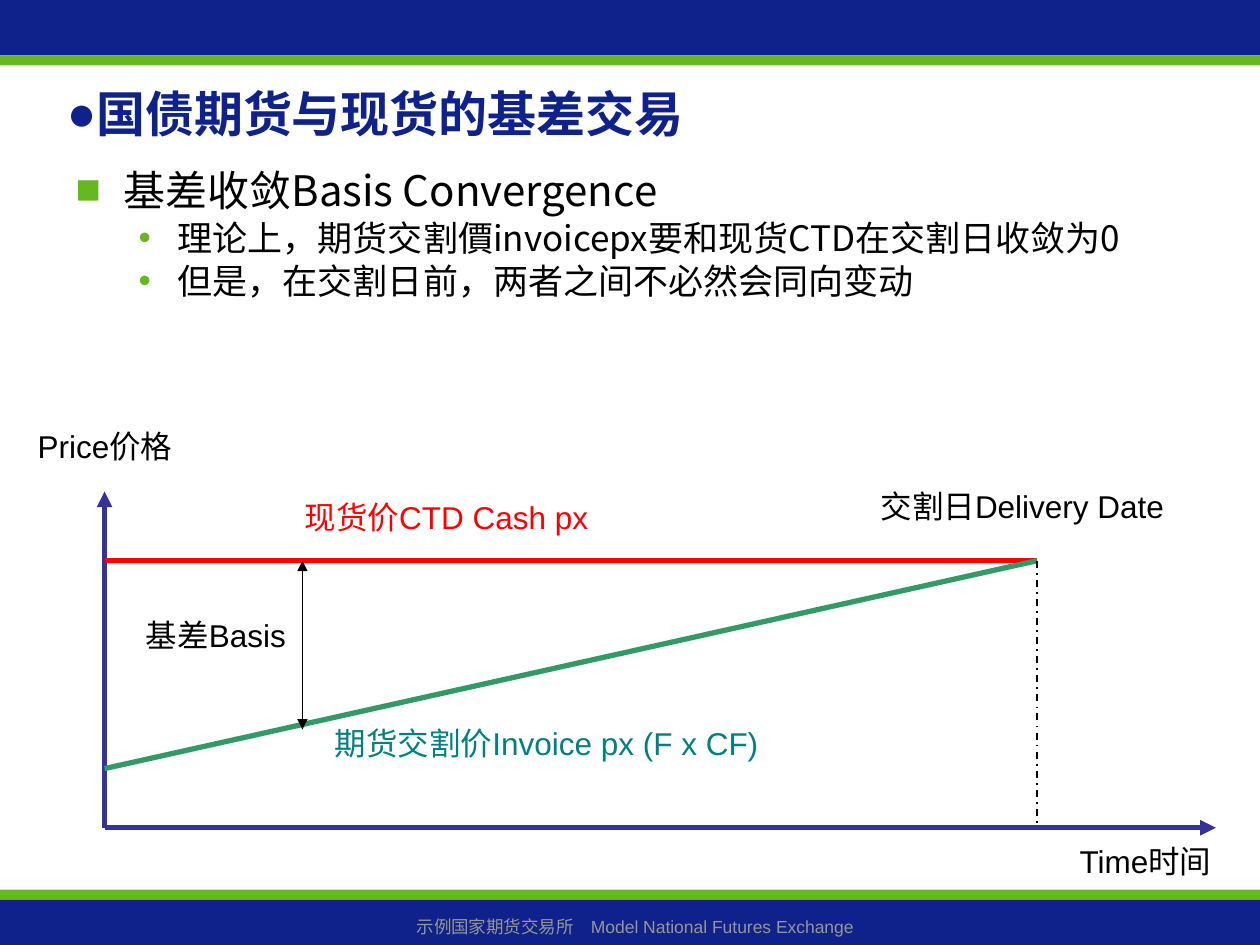
from lxml.etree import SubElement
from pptx import Presentation
from pptx.dml.color import RGBColor
from pptx.enum.dml import MSO_LINE
from pptx.enum.shapes import MSO_CONNECTOR, MSO_SHAPE
from pptx.enum.text import MSO_ANCHOR, MSO_AUTO_SIZE, PP_ALIGN
from pptx.oxml.ns import qn
from pptx.util import Inches, Pt

NAVY = RGBColor(0x0F, 0x21, 0x8B)
GREEN = RGBColor(0x66, 0xB8, 0x21)
GRAY = RGBColor(0x96, 0x96, 0x96)
BLACK = RGBColor(0, 0, 0)
RED = RGBColor(0xFF, 0, 0)
INDIGO = RGBColor(0x33, 0x33, 0x99)
SEA_GREEN = RGBColor(0x33, 0x99, 0x66)
TEAL = RGBColor(0, 0x80, 0x80)
SANS = "Arial"
CJK = "Noto Sans CJK TC"


def place(shape, box):
    shape.left, shape.top, shape.width, shape.height = map(Inches, box)


def style_runs(paragraph, size, color, name=SANS, bold=False):
    for run in paragraph.runs:
        font = run.font
        font.size, font.bold, font.name = Pt(size), bold, name
        font.color.rgb = color
        SubElement(font._element, qn("a:ea")).set("typeface", CJK)


def set_bullet(paragraph, char, color, margin=0, indent=0):
    props = paragraph._p.get_or_add_pPr()
    props.set("marL", str(Inches(margin)))
    props.set("indent", str(Inches(indent)))
    bullet_color = SubElement(props, qn("a:buClr"))
    SubElement(bullet_color, qn("a:srgbClr")).set("val", str(color))
    SubElement(props, qn("a:buFont")).set("typeface", SANS)
    SubElement(props, qn("a:buChar")).set("char", char)


def add_label(shapes, text, box, color=BLACK, size=18, align=PP_ALIGN.LEFT):
    label = shapes.add_textbox(*map(Inches, box))
    frame = label.text_frame
    frame.word_wrap = True
    frame.text = text
    frame.paragraphs[0].alignment = align
    style_runs(frame.paragraphs[0], size, color)


def add_line(shapes, start, end, color, width=3, head=False, tail=False, dash=None):
    connector = shapes.add_connector(
        MSO_CONNECTOR.STRAIGHT, *map(Inches, (*start, *end)))
    connector.line.color.rgb = color
    connector.line.width = Pt(width)
    if dash:
        connector.line.dash_style = dash
    outline = connector.line._get_or_add_ln()
    for tag, wanted in (("a:headEnd", head), ("a:tailEnd", tail)):
        if wanted:
            SubElement(outline, qn(tag)).set("type", "triangle")
    SubElement(connector._element.spPr, qn("a:effectLst"))


def add_bands(slide, width, height):
    thick_top, thick_bottom, stripe = 0.44, 0.36, 0.08
    bottom = height - thick_bottom
    bands = [
        (0, thick_top, NAVY),
        (bottom - stripe, stripe, GREEN),
        (thick_top, stripe, GREEN),
        (bottom, thick_bottom, NAVY),
    ]
    for top, thickness, color in bands:
        band = slide.shapes.add_shape(
            MSO_SHAPE.RECTANGLE, *map(Inches, (0, top, width, thickness)))
        band.shadow.inherit = False
        band.fill.solid()
        band.fill.fore_color.rgb = color
        band.line.fill.background()
    add_label(slide.shapes, "示例国家期货交易所　Model National Futures Exchange",
              (0.08, bottom + 0.08, width - 0.08, 0.27), GRAY, 10, PP_ALIGN.CENTER)


def fill_title(title, box):
    place(title, box)
    frame = title.text_frame
    frame.text = "国债期货与现货的基差交易"
    frame.vertical_anchor = MSO_ANCHOR.MIDDLE
    frame.auto_size = MSO_AUTO_SIZE.NONE
    heading = frame.paragraphs[0]
    heading.alignment = PP_ALIGN.LEFT
    set_bullet(heading, "●", NAVY)
    style_runs(heading, 28, NAVY, bold=True)


def fill_body(body, box):
    place(body, box)
    frame = body.text_frame
    points = [
        (0, "基差收敛Basis Convergence"),
        (1, "理论上，期货交割價invoicepx要和现货CTD在交割日收敛为0"),
        (1, "但是，在交割日前，两者之间不必然会同向变动"),
    ]
    levels = [("■", 0.38, -0.38, 24, 6), ("•", 0.81, -0.31, 20, 5)]
    frame.text = "\n".join(text for _, text in points)
    frame.auto_size = MSO_AUTO_SIZE.NONE
    for paragraph, (level, _) in zip(frame.paragraphs, points):
        char, margin, indent, size, before = levels[level]
        paragraph.level = level
        paragraph.space_before = Pt(before)
        paragraph.line_spacing = 0.83
        set_bullet(paragraph, char, GREEN, margin, indent)
        style_runs(paragraph, size, BLACK, CJK)


def add_convergence_diagram(slide, box):
    left, top, width, height = box
    right, bottom = left + width, top + height
    cash_y, invoice_y = top + 0.55, top + 2.2
    basis_x, delivery_x = left + 1.57, left + 7.4
    origin, delivery = (left, bottom), (delivery_x, cash_y)
    shapes = slide.shapes.add_group_shape().shapes

    add_line(shapes, origin, (right, bottom), INDIGO, tail=True)
    add_line(shapes, origin, (left, top), INDIGO, tail=True)
    add_line(shapes, (left, cash_y), delivery, RED)
    add_line(shapes, (left, invoice_y), delivery, SEA_GREEN)
    add_line(shapes, delivery, (delivery_x, bottom), BLACK, 1, dash=MSO_LINE.DASH_DOT)
    add_line(shapes, (basis_x, cash_y), (basis_x, top + 1.89), BLACK, 1,
             head=True, tail=True)

    labels = [
        ("Time时间", 7.64, 2.73, 1.42, BLACK),
        ("交割日Delivery Date", 6.06, -0.08, 2.76, BLACK),
        ("Price价格", -0.63, -0.56, 1.42, BLACK),
        ("现货价CTD Cash px", 1.49, 0, 2.6, RED),
        ("期货交割价Invoice px (F x CF)", 1.73, 1.8, 3.62, TEAL),
        ("基差Basis", 0.23, 0.94, 1.5, BLACK),
    ]
    for text, dx, dy, label_width, color in labels:
        add_label(shapes, text, (left + dx, top + dy, label_width, 0.4), color)


def main():
    width, height = 10, 7.5
    deck = Presentation()
    deck.slide_width, deck.slide_height = Inches(width), Inches(height)
    slide = deck.slides.add_slide(deck.slide_layouts[1])
    add_bands(slide, width, height)
    fill_title(slide.shapes.title, (0.43, 0.63, 9.17, 0.54))
    fill_body(slide.placeholders[1], (0.5, 1.32, 8.6, 1.69))
    add_convergence_diagram(slide, (0.83, 3.9, 8.82, 2.67))
    deck.save("out.pptx")


if __name__ == "__main__":
    main()
